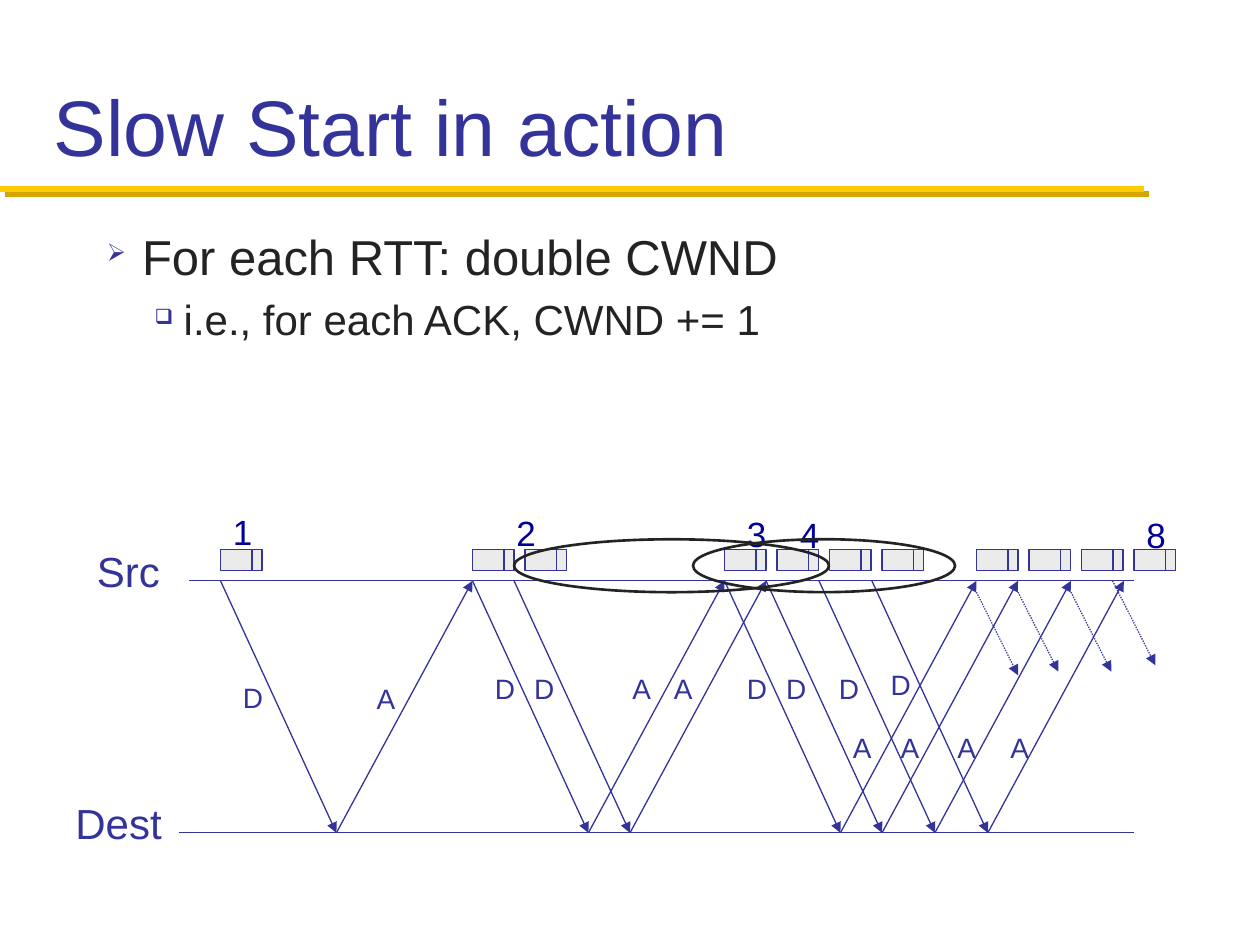
"""Build a slide that shows TCP slow start as a packet timeline."""
from lxml import etree
from pptx import Presentation
from pptx.dml.color import RGBColor
from pptx.enum.dml import MSO_LINE
from pptx.enum.shapes import MSO_CONNECTOR, MSO_SHAPE
from pptx.enum.text import MSO_ANCHOR, MSO_AUTO_SIZE
from pptx.oxml.ns import qn
from pptx.util import Inches, Pt

STRAIGHT = MSO_CONNECTOR.STRAIGHT
RECTANGLE = MSO_SHAPE.RECTANGLE
OVAL = MSO_SHAPE.OVAL
DOTTED = MSO_LINE.ROUND_DOT
BOTTOM = MSO_ANCHOR.BOTTOM
TOP = MSO_ANCHOR.TOP
GROW = MSO_AUTO_SIZE.SHAPE_TO_FIT_TEXT
NO_FIT = MSO_AUTO_SIZE.NONE

INDIGO = "333399"
NAVY = "000099"
INK = "232323"
GOLD = "FFCB05"
DARK_GOLD = "D3A600"
PALE_GREY = "EBEBEB"

SRC_Y = 4.61
DEST_Y = 6.61
ONE_WAY = 0.92
ROUND_TRIP = 2
PACKET_Y = 4.36
PACKET_WIDTH = 0.33
PACKET_HEIGHT = 0.17
PACKET_STEP = 5 / 12
HEADER_AT = 0.25

BULLETS = [
    ("For each RTT: double CWND", "➢", 28, 0.28, 0.28, 0),
    ("i.e., for each ACK, CWND += 1", "❑", 24, 0.61, 0.23, 4.8),
]
WINDOWS = [(1.75, 1), (3.75, 2), (5.75, 4), (7.75, 4)]
EXCHANGES = [
    (1.75, (1.83, 5.35), (2.89, 5.36)),
    (3.75, (3.83, 5.28), (4.92, 5.28)),
    (4.08, (4.14, 5.28), (5.25, 5.28)),
    (5.75, (5.83, 5.28), (6.67, 5.75)),
    (6.08, (6.14, 5.28), (7.05, 5.75)),
    (6.5, (6.56, 5.28), (7.5, 5.75)),
    (6.92, (6.97, 5.25), (7.92, 5.75)),
]
NEXT_SENDS = [
    (7.75, 4.7, 8.08, 5.36),
    (8.08, 4.7, 8.4, 5.33),
    (8.5, 4.7, 8.82, 5.33),
    (8.83, 4.61, 9.17, 5.28),
]
WINDOW_SIZES = [("1", 1.75, 4), ("2", 4, 4.01), ("3", 5.83, 4.02),
                ("4", 6.25, 4.03), ("8", 9, 4.03)]


def rgb(code):
    """Turn a hex string into a colour."""
    return RGBColor.from_string(code)


def write(paragraph, text, size=16, color=INDIGO, font="Arial"):
    """Add formatted text to a paragraph."""
    run = paragraph.add_run()
    run.text = text
    run.font.size = Pt(size)
    run.font.name = font
    run.font.color.rgb = rgb(color)


class TimelineSlide:
    """Hold the style and the slide, and draw each kind of element."""

    def __init__(self, slide, line_color=INDIGO, line_width=0.75):
        """Keep the slide and the default line style."""
        self.slide = slide
        self.line_color = line_color
        self.line_width = line_width

    def frame(self, left, top, width, height, anchor=TOP, wrap=True):
        """Add a text box and return its text frame."""
        box = self.slide.shapes.add_textbox(
            Inches(left), Inches(top), Inches(width), Inches(height))
        box.text_frame.word_wrap = wrap
        box.text_frame.auto_size = NO_FIT if wrap else GROW
        box.text_frame.vertical_anchor = anchor
        return box.text_frame

    def label(self, text, left, top, width=0.36, height=0.37, **style):
        """Add a short label that does not wrap."""
        frame = self.frame(left, top, width, height, wrap=False)
        write(frame.paragraphs[0], text, **style)

    def bullet(self, paragraph, text, mark, size, margin, hanging, before):
        """Fill a paragraph with a bulleted line."""
        paragraph.space_before = Pt(before)
        props = paragraph._p.get_or_add_pPr()
        props.set("marL", str(Inches(margin)))
        props.set("indent", str(-Inches(hanging)))
        color = etree.SubElement(props, qn("a:buClr"))
        etree.SubElement(color, qn("a:srgbClr"), val=INDIGO)
        etree.SubElement(props, qn("a:buSzPct"), val="50000")
        etree.SubElement(props, qn("a:buChar"), char=mark)
        write(paragraph, text, size=size, color=INK)

    def line(self, x1, y1, x2, y2, color=None, width=None, dash=None, arrow=False):
        """Draw a straight line, with an arrowhead at its end if asked."""
        connector = self.slide.shapes.add_connector(
            STRAIGHT, Inches(x1), Inches(y1), Inches(x2), Inches(y2))
        connector.line.color.rgb = rgb(color or self.line_color)
        connector.line.width = Pt(width or self.line_width)
        if dash is not None:
            connector.line.dash_style = dash
        if arrow:
            outline = connector.line._get_or_add_ln()
            etree.SubElement(outline, qn("a:tailEnd"), type="triangle")
        etree.SubElement(connector._element.spPr, qn("a:effectLst"))

    def shape(self, kind, left, top, width, height, fill=None, color=None, weight=None):
        """Draw an outlined shape, filled if a colour is given."""
        shape = self.slide.shapes.add_shape(
            kind, Inches(left), Inches(top), Inches(width), Inches(height))
        shape.shadow.inherit = False
        if fill:
            shape.fill.solid()
            shape.fill.fore_color.rgb = rgb(fill)
        else:
            shape.fill.background()
        shape.line.color.rgb = rgb(color or self.line_color)
        shape.line.width = Pt(weight or self.line_width)

    def packet(self, left):
        """Draw a packet with its header divider."""
        self.shape(RECTANGLE, left, PACKET_Y, PACKET_WIDTH, PACKET_HEIGHT, fill=PALE_GREY)
        divider = left + HEADER_AT
        self.line(divider, PACKET_Y, divider, PACKET_Y + PACKET_HEIGHT)

    def exchange(self, sent, data_label, ack_label):
        """Draw a data segment and the acknowledgement that answers it."""
        received = sent + ONE_WAY
        self.line(sent, SRC_Y, received, DEST_Y, arrow=True)
        self.line(received, DEST_Y, sent + ROUND_TRIP, SRC_Y, arrow=True)
        self.label("D", *data_label)
        self.label("A", *ack_label)


def main():
    """Build and save the slide."""
    prs = Presentation()
    prs.slide_width = Inches(10)
    prs.slide_height = Inches(7.5)
    timeline = TimelineSlide(prs.slides.add_slide(prs.slide_layouts[6]))

    for offset, color in ((0.04, DARK_GOLD), (0, GOLD)):
        timeline.line(offset, 1.5 + offset, 9.08 + offset, 1.5 + offset,
                      color=color, width=3.5)
    title = timeline.frame(0.33, 0.17, 9.33, 1.25, anchor=BOTTOM)
    write(title.paragraphs[0], "Slow Start in action", size=45)

    body = timeline.frame(0.75, 1.75, 8.67, 1.36)
    for index, entry in enumerate(BULLETS):
        paragraph = body.add_paragraph() if index else body.paragraphs[0]
        timeline.bullet(paragraph, *entry)

    timeline.line(1.5, SRC_Y, 9, SRC_Y)
    timeline.line(1.42, DEST_Y, 9, DEST_Y)
    timeline.label("Src", 0.67, 4.28, 0.71, 0.5, size=24)
    timeline.label("Dest", 0.5, 6.28, 0.89, 0.5, size=24)

    for start, count in WINDOWS:
        for index in range(count):
            timeline.packet(start + index * PACKET_STEP)
    for exchange in EXCHANGES:
        timeline.exchange(*exchange)
    for ends in NEXT_SENDS:
        timeline.line(*ends, dash=DOTTED, arrow=True)
    for size, left, top in WINDOW_SIZES:
        timeline.label(size, left, top, 0.37, 0.43, size=20, color=NAVY)
    for left, width in ((4.08, 2.5), (5.5, 2.08)):
        timeline.shape(OVAL, left, 4.28, width, 0.42, color=INK, weight=1.5)

    prs.save("out.pptx")


if __name__ == "__main__":
    main()
